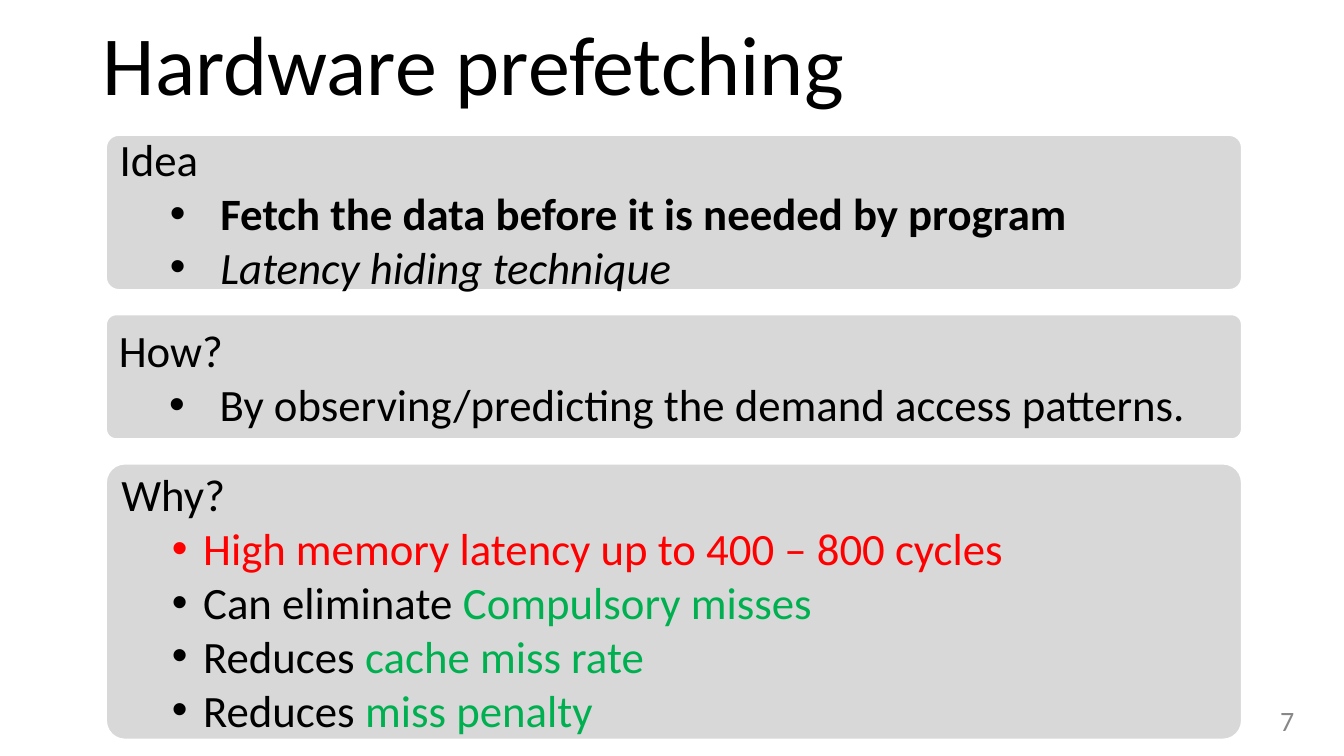
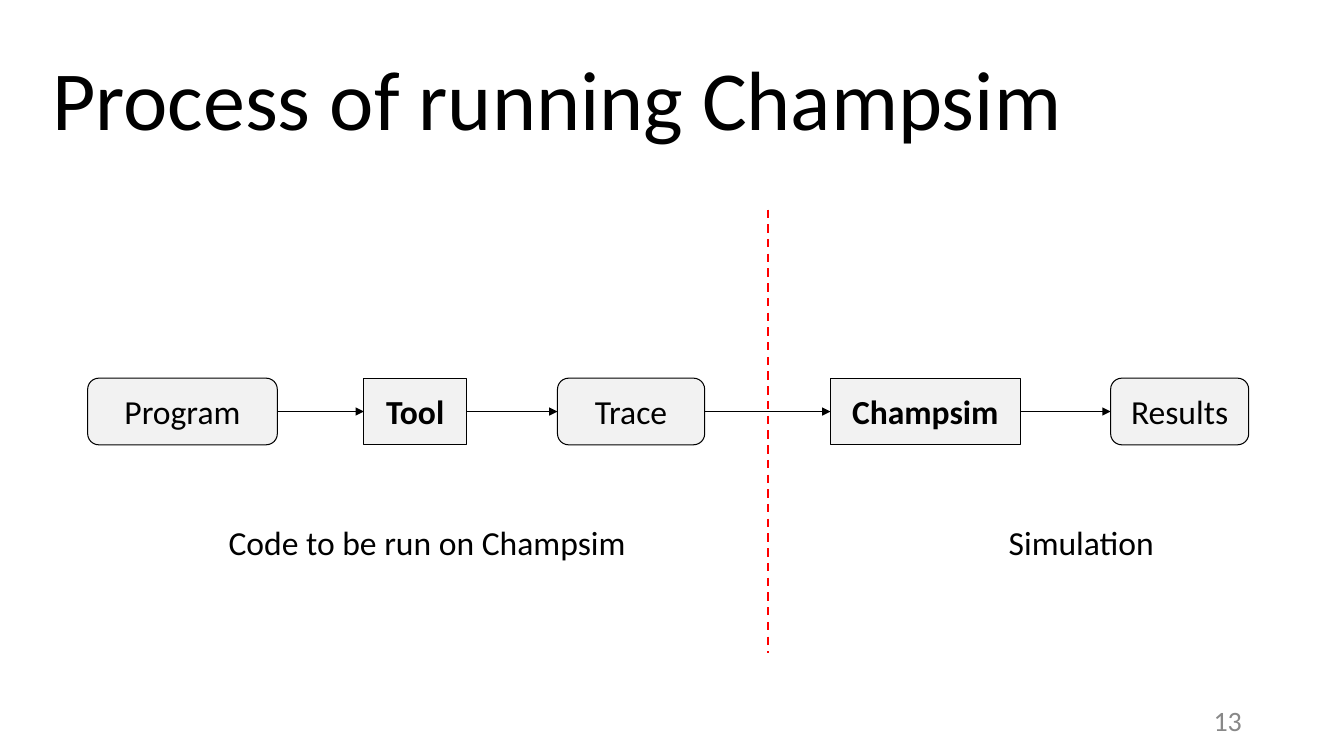
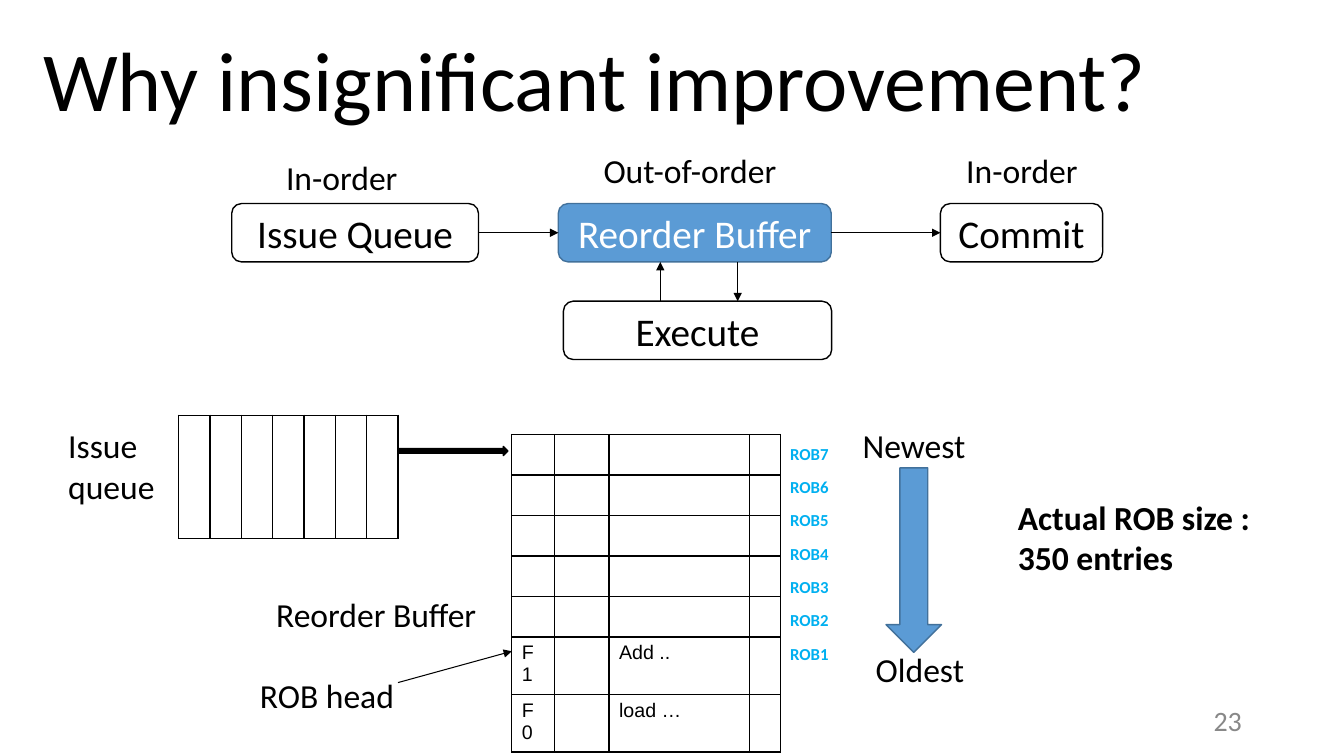
import pptx
import pptx.util
import pptx.dml.color
import pptx.enum.dml
import pptx.enum.shapes
import pptx.enum.text
import pptx.oxml
import pptx.oxml.ns
from lxml import etree

Cm = pptx.util.Cm
Pt = pptx.util.Pt
RGBColor = pptx.dml.color.RGBColor
SHAPE = pptx.enum.shapes.MSO_SHAPE
ALIGN = pptx.enum.text.PP_ALIGN
ANCHOR = pptx.enum.text.MSO_ANCHOR
qn = pptx.oxml.ns.qn

# Shared look
BLACK = RGBColor(0x00, 0x00, 0x00)
WHITE = RGBColor(0xFF, 0xFF, 0xFF)
PANEL_GREY = RGBColor(0xD8, 0xD8, 0xD8)
NODE_GREY = RGBColor(0xF2, 0xF2, 0xF2)
NUMBER_GREY = RGBColor(0x88, 0x88, 0x88)
RED = RGBColor(0xFF, 0x00, 0x00)
GREEN = RGBColor(0x00, 0xB0, 0x50)
BLUE = RGBColor(0x5B, 0x9B, 0xD5)
DARK_BLUE = RGBColor(0x42, 0x71, 0x9B)
SKY = RGBColor(0x00, 0xB0, 0xF0)
FONT = "Calibri"


# Text
def add_bullet(p, color, left, hanging):
    pPr = p._p.get_or_add_pPr()
    pPr.set("marL", str(Cm(left)))
    pPr.set("indent", str(-Cm(hanging)))
    clr = etree.SubElement(pPr, qn("a:buClr"))
    etree.SubElement(clr, qn("a:srgbClr"), val=str(color))
    etree.SubElement(pPr, qn("a:buFont"), typeface="Arial")
    etree.SubElement(pPr, qn("a:buChar"), char="•")


def add_text(tf, text, size=24, color=BLACK, bold=False, italic=False,
             align=ALIGN.LEFT, font=FONT, spacing=None, bullet=None):
    """Add a paragraph; text is a string or a list of (text, color) runs."""
    p = tf.paragraphs[0]
    if p.runs:
        p = tf.add_paragraph()
    runs = [(text, color)] if isinstance(text, str) else text
    if bullet:
        p.level = 1
        add_bullet(p, runs[0][1], *bullet)
    p.alignment = align
    if spacing:
        p.line_spacing = spacing
    for part, run_color in runs:
        r = p.add_run()
        r.text = part
        r.font.name = font
        r.font.size = Pt(size)
        r.font.bold = bold
        r.font.italic = italic
        r.font.color.rgb = run_color


def add_label(sl, text, x, y, w, h=1.27, anchor=ANCHOR.TOP, **fmt):
    tf = sl.shapes.add_textbox(Cm(x), Cm(y), Cm(w), Cm(h)).text_frame
    tf.word_wrap = True
    tf.vertical_anchor = anchor
    add_text(tf, text, **fmt)


def new_slide(prs, title, x, y, number, number_x=23.93, w=29.21, h=3.68):
    sl = prs.slides.add_slide(prs.slide_layouts[6])
    add_label(sl, title, x, y, w, h, ANCHOR.MIDDLE, size=60, spacing=0.9)
    add_label(sl, number, number_x, 17.65, 7.62, 1.02, ANCHOR.MIDDLE,
              size=20, color=NUMBER_GREY, align=ALIGN.RIGHT)
    return sl


# Shapes and lines
def add_box(sl, kind, x, y, w, h, fill, line, width=1, adj=None):
    sp = sl.shapes.add_shape(kind, Cm(x), Cm(y), Cm(w), Cm(h))
    sp.shadow.inherit = False
    sp.fill.solid()
    sp.fill.fore_color.rgb = fill
    sp.line.color.rgb = line
    sp.line.width = Pt(width)
    sp.text_frame.word_wrap = True
    sp.text_frame.vertical_anchor = ANCHOR.MIDDLE
    if adj is not None:
        sp.adjustments[0] = adj
    return sp


def add_node(sl, text, kind, x, y, w, h, fill, line=BLACK, width=1, **fmt):
    sp = add_box(sl, kind, x, y, w, h, fill, line, width)
    add_text(sp.text_frame, text, align=ALIGN.CENTER, **fmt)
    return sp


def add_panel(sl, heading, y, h, adj=0.082):
    sp = add_box(sl, SHAPE.ROUNDED_RECTANGLE, 2.67, y, 28.63, h,
                 PANEL_GREY, WHITE, 1.5, adj)
    add_text(sp.text_frame, heading, size=32)
    return sp.text_frame


def add_line(sl, x1, y1, x2, y2, color=BLACK, width=0.75, dash=None, arrow=True):
    cx = sl.shapes.add_connector(pptx.enum.shapes.MSO_CONNECTOR.STRAIGHT,
                                 Cm(x1), Cm(y1), Cm(x2), Cm(y2))
    cx.line.color.rgb = color
    cx.line.width = Pt(width)
    if dash:
        cx.line.dash_style = dash
    if arrow:
        etree.SubElement(cx.line._get_or_add_ln(), qn("a:tailEnd"), type="triangle")
    etree.SubElement(cx._element.spPr, qn("a:effectLst"))
    return cx


def link(sl, a, b):
    """Arrow from the right side of a to the left side of b."""
    cx = add_line(sl, 0, 0, 1, 1)
    cx.begin_connect(a, 3)
    cx.end_connect(b, 1)


# Tables
def add_borders(cell):
    tcPr = cell._tc.get_or_add_tcPr()
    for i, side in enumerate(("a:lnL", "a:lnR", "a:lnT", "a:lnB")):
        ln = etree.Element(qn(side), w=str(Pt(1)))
        fill = etree.SubElement(ln, qn("a:solidFill"))
        etree.SubElement(fill, qn("a:srgbClr"), val=str(BLACK))
        tcPr.insert(i, ln)


def add_grid(sl, x, y, cols, rows, texts):
    """Bordered table; texts maps (row, column) to the text of a cell."""
    table = sl.shapes.add_table(len(rows), len(cols), Cm(x), Cm(y),
                                Cm(sum(cols)), Cm(sum(rows))).table
    table.first_row = False
    table.horz_banding = False
    for col, w in zip(table.columns, cols):
        col.width = Cm(w)
    for row, h in zip(table.rows, rows):
        row.height = Cm(h)
    for cell in table.iter_cells():
        cell.fill.background()
        add_borders(cell)
    for (i, j), text in texts.items():
        add_text(table.cell(i, j).text_frame, text, size=14, font="Arial")


# Slides
def prefetching_slide(prs):
    sl = new_slide(prs, "Hardware prefetching", 2.34, -0.13, "7", 25.25)
    wide, narrow = (2.54, 1.27), (2.06, 0.79)

    tf = add_panel(sl, "Idea", 3.4, 3.91)
    add_text(tf, "Fetch the data before it is needed by program",
             size=32, bold=True, bullet=wide)
    add_text(tf, "Latency hiding technique", size=32, italic=True, bullet=wide)

    tf = add_panel(sl, "How?", 7.92, 3.15)
    add_text(tf, "By observing/predicting the demand access patterns.",
             size=32, bullet=wide)

    tf = add_panel(sl, "Why?", 11.68, 6.96, 0.069)
    for runs in (
        [("High memory latency up to 400 – 800 cycles", RED)],
        [("Can eliminate ", BLACK), ("Compulsory misses", GREEN)],
        [("Reduces ", BLACK), ("cache miss rate", GREEN)],
        [("Reduces ", BLACK), ("miss penalty", GREEN)],
    ):
        add_text(tf, runs, size=32, bullet=narrow)


def process_slide(prs):
    sl = new_slide(prs, "Process of running Champsim", 1.07, 0.76, "13")

    # Chain of tools (square, bold) and data (rounded)
    nodes = []
    for text, x, w, is_tool in (
        ("Program", 2.21, 4.78, False),
        ("Tool", 9.17, 2.59, True),
        ("Trace", 14.05, 3.71, False),
        ("Champsim", 20.93, 4.78, True),
        ("Results", 27.99, 3.48, False),
    ):
        kind = SHAPE.RECTANGLE if is_tool else SHAPE.ROUNDED_RECTANGLE
        nodes.append(add_node(sl, text, kind, x, 9.53, w, 1.68, NODE_GREY,
                              width=0.75, bold=is_tool))
    for a, b in zip(nodes, nodes[1:]):
        link(sl, a, b)

    # Two phases
    add_line(sl, 19.35, 5.28, 19.35, 16.46, RED, 1.5,
             pptx.enum.dml.MSO_LINE.DASH, arrow=False)
    add_label(sl, "Code to be run on Champsim", 5.51, 13.03, 11.43)
    add_label(sl, "Simulation", 25.17, 13.03, 4.52)


def improvement_slide(prs):
    sl = new_slide(prs, "Why insignificant improvement?", 0.84, 0.13, "23",
                   w=31.6, h=3.99)

    # Pipeline
    def stage(text, x, y, w, fill=WHITE, line=BLACK, color=BLACK):
        return add_node(sl, text, SHAPE.ROUNDED_RECTANGLE, x, y, w, 1.47,
                        fill, line, size=28, color=color)

    issue = stage("Issue Queue", 5.84, 5.13, 6.22)
    reorder = stage("Reorder Buffer", 14.07, 5.13, 6.88, BLUE, DARK_BLUE, WHITE)
    commit = stage("Commit", 23.7, 5.13, 4.09)
    stage("Execute", 14.2, 7.59, 6.76)
    link(sl, issue, reorder)
    link(sl, reorder, commit)
    add_line(sl, 18.59, 6.6, 18.59, 7.59)
    add_line(sl, 16.64, 7.59, 16.64, 6.6)

    # Issue queue and reorder buffer
    add_grid(sl, 4.5, 10.46, [0.79] * 7, [3.1], {})
    add_grid(sl, 12.9, 10.95, [1.07, 1.38, 3.53, 0.79],
             [1.02] * 5 + [1.45] * 2,
             {(5, 0): "F1", (5, 2): "Add ..", (6, 0): "F0", (6, 2): "load …"})
    for i in range(7):
        add_label(sl, f"ROB{7 - i}", 19.66, 11.05 + 0.84 * i, 1.63, 0.76,
                  size=12, color=SKY, bold=True)

    # Arrows
    add_box(sl, SHAPE.RIGHT_ARROW, 10.03, 11.25, 2.77, 0.23, BLACK, BLACK)
    add_box(sl, SHAPE.DOWN_ARROW, 22.33, 11.79, 1.4, 4.65, BLUE, DARK_BLUE)
    add_line(sl, 10.03, 17.2, 12.9, 16.41)

    # Labels
    for text, x, y, w in (
        ("In-order", 6.96, 3.84, 3.99),
        ("Out-of-order", 14.96, 3.66, 5.13),
        ("In-order", 24.1, 3.66, 3.99),
        ("Reorder Buffer", 6.71, 14.83, 6.22),
        ("ROB head", 6.3, 16.89, 4.22),
        ("Newest", 21.49, 10.59, 3.35),
        ("Oldest", 21.82, 16.23, 2.95),
    ):
        add_label(sl, text, x, y, w)
    add_label(sl, "Issue queue", 1.47, 10.59, 3.99, 2.31)
    add_label(sl, "Actual ROB size : 350 entries", 25.4, 12.4, 6.73, 2.31, bold=True)


def main():
    prs = pptx.Presentation()
    prs.slide_width = Cm(33.87)
    prs.slide_height = Cm(19.05)
    prefetching_slide(prs)
    process_slide(prs)
    improvement_slide(prs)
    prs.save("out.pptx")


if __name__ == "__main__":
    main()
